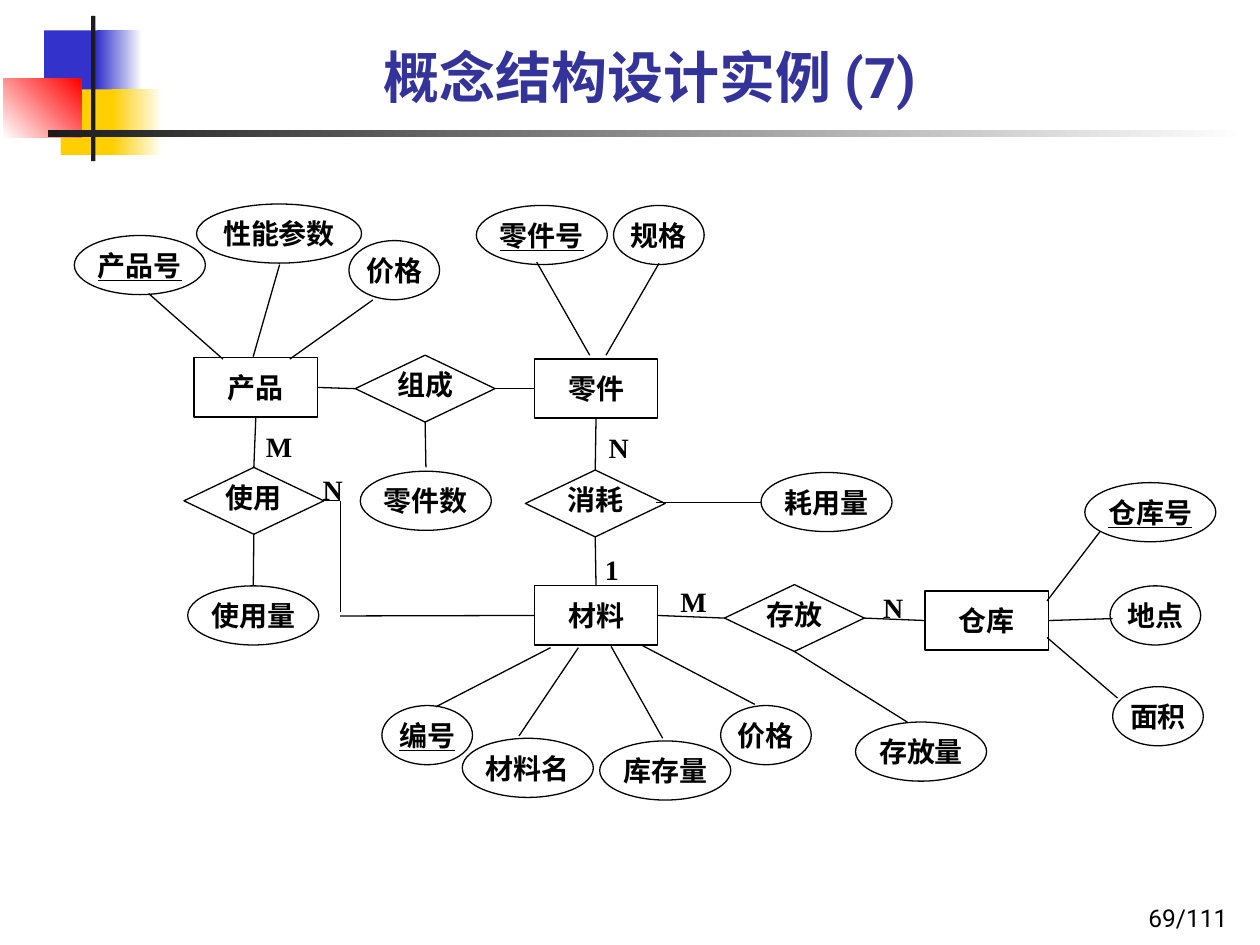
from lxml import etree
from pptx import Presentation
from pptx.dml.color import RGBColor
from pptx.enum.shapes import MSO_CONNECTOR, MSO_SHAPE
from pptx.enum.text import MSO_ANCHOR, PP_ALIGN
from pptx.oxml.ns import qn
from pptx.util import Pt

RECT, OVAL, DIAMOND = MSO_SHAPE.RECTANGLE, MSO_SHAPE.OVAL, MSO_SHAPE.DIAMOND
LINE = MSO_CONNECTOR.STRAIGHT
MIDDLE, BOTTOM = MSO_ANCHOR.MIDDLE, MSO_ANCHOR.BOTTOM
CENTER, RIGHT, JUSTIFY = PP_ALIGN.CENTER, PP_ALIGN.RIGHT, PP_ALIGN.JUSTIFY
TOP, LEFT, BASE, END = range(4)  # connection sites


def color(code):
    return RGBColor.from_string(code)


class Board:
    ink, paper = "000000", "FFFFFF"
    label = {"name": "Times New Roman", "size": Pt(16), "bold": True}
    head = {"name": "Roboto", "size": Pt(32), "bold": True}
    foot = {"name": "Roboto", "size": Pt(14), "bold": False}

    def __init__(self, slide):
        self.slide = slide
        self.nodes = {}

    def letter(self, shape, text, style, align, anchor, ink=ink, inset=(0, 0), **extra):
        frame = shape.text_frame
        frame.word_wrap = True
        frame.vertical_anchor = anchor
        frame.margin_left = frame.margin_right = Pt(inset[0])
        frame.margin_top = frame.margin_bottom = Pt(inset[1])
        para = frame.paragraphs[0]
        para.alignment = align
        run = para.add_run()
        run.text = text
        for key, value in {**style, **extra}.items():
            setattr(run.font, key, value)
        run.font.color.rgb = color(ink)
        return para

    def title(self, text, box, ink):
        shape = self.slide.shapes.title
        shape.left, shape.top, shape.width, shape.height = map(Pt, box)
        self.letter(shape, text, self.head, CENTER, BOTTOM, ink, (7.2, 3.6))

    def text(self, text, box, style=label, align=JUSTIFY, anchor=MIDDLE, inset=(0, 0)):
        shape = self.slide.shapes.add_textbox(*map(Pt, box))
        self.letter(shape, text, style, align, anchor, inset=inset)

    def block(self, box, *codes, angle=0):
        shape = self.slide.shapes.add_shape(RECT, *map(Pt, box))
        shape.shadow.inherit = False
        shape.line.fill.background()
        if len(codes) == 1:
            shape.fill.solid()
            shape.fill.fore_color.rgb = color(codes[0])
            return
        shape.fill.gradient()
        shape.fill.gradient_angle = angle
        for stop, code in zip(shape.fill.gradient_stops, codes):
            stop.color.rgb = color(code)

    def node(self, kind, text, box, key=False):
        shape = self.slide.shapes.add_shape(kind, *map(Pt, box))
        shape.shadow.inherit = False
        if kind == OVAL:
            shape.fill.background()
        else:
            shape.fill.solid()
            shape.fill.fore_color.rgb = color(self.paper)
        shape.line.color.rgb = color(self.ink)
        shape.line.width = Pt(0.75)
        para = self.letter(shape, text, self.label, CENTER, MIDDLE, underline=key)
        if kind == DIAMOND:
            para.line_spacing = 0.72
        self.nodes[text] = shape

    def link(self, start, end):
        """Each end is a point (x, y) or a node with its site (name, site)."""
        ends = [(0, 0) if isinstance(e[0], str) else e for e in (start, end)]
        wire = self.slide.shapes.add_connector(LINE, *(Pt(v) for e in ends for v in e))
        for spot, join in ((start, wire.begin_connect), (end, wire.end_connect)):
            if isinstance(spot[0], str):
                join(self.nodes[spot[0]], spot[1])
        wire.line.color.rgb = color(self.ink)
        wire.line.width = Pt(0.75)
        etree.SubElement(wire._element.spPr, qn("a:effectLst"))


def main():
    deck = Presentation()
    deck.slide_width, deck.slide_height = Pt(720), Pt(540)
    board = Board(deck.slides.add_slide(deck.slide_layouts[5]))

    # Corner blocks and rule
    blue, gold, red, dark, white = "3333CC", "FFCF01", "FF0000", "1C1C1C", "FFFFFF"
    board.block((25.2, 17.3, 34.6, 37.4), blue)
    board.block((55.4, 17.3, 25.9, 37.4), blue, white)
    board.block((34.6, 51.1, 33.1, 37.4), gold)
    board.block((64.1, 51.1, 28.8, 37.4), gold, white)
    board.block((2, 45, 44.3, 33.5), white, red, angle=45)
    board.block((52.1, 9.1, 2.4, 83), dark)
    board.block((27.4, 74.2, 684.7, 4.3), dark, white)

    # Title and page number
    board.title("概念结构设计实例 (7)", (64.8, 3.6, 613.4, 62.6), "333399")
    board.text("69/111", (558.7, 500.4, 149.8, 36), board.foot, RIGHT, BOTTOM, (7.2, 3.6))

    # Entities
    for text, x, y in (("产品", 110.9, 204.5), ("零件", 305.3, 205.2),
                       ("材料", 305.3, 334.8), ("仓库", 528.5, 337.7)):
        board.node(RECT, text, (x, y, 70.6, 33.8))

    # Relations
    for text, x, y in (("组成", 203, 203), ("使用", 105.1, 267.1),
                       ("消耗", 300.2, 268.6), ("存放", 414, 334.1)):
        board.node(DIAMOND, text, (x, y, 79.9, 38.2))

    # Attributes, as wide as their text needs; keys are underlined
    widths = {2: 51.8, 3: 74.9, 4: 94.3}
    keys = {"产品号", "零件号", "编号", "仓库号"}
    for text, x, y in (
        ("产品号", 42.5, 134.6), ("性能参数", 112.3, 116.6), ("价格", 199.4, 137.5),
        ("零件号", 272.2, 117.4), ("规格", 350.6, 117.4), ("零件数", 205.9, 269.3),
        ("使用量", 107.3, 334.8), ("耗用量", 434.9, 270), ("存放量", 488.9, 412.6),
        ("编号", 218.2, 403.2), ("材料名", 264.2, 421.9), ("库存量", 342.7, 423.4),
        ("价格", 411.8, 403.2), ("仓库号", 619.9, 275.8), ("地点", 634.3, 334.8),
        ("面积", 635.8, 392.4),
    ):
        board.node(OVAL, text, (x, y, widths[len(text)], 33.8), text in keys)

    # Links between entities and relations
    for start, end in (
        (("产品", END), ("组成", LEFT)), (("组成", END), ("零件", LEFT)),
        (("产品", BASE), ("使用", TOP)), (("零件", BASE), ("消耗", TOP)),
        (("消耗", BASE), ("材料", TOP)), (("材料", END), ("存放", LEFT)),
        (("存放", END), ("仓库", LEFT)), (("使用", END), (194.4, 286.2)),
        ((194.4, 286.2), (194.4, 350)), ((194.4, 352), ("材料", LEFT)),
    ):
        board.link(start, end)

    # Links to attributes
    for start, end in (
        ((85, 167.8), (127.4, 205.2)), ((159.8, 151.2), (144.7, 203.8)),
        ((213.1, 171.4), (165.6, 205.2)), ((306.7, 149.8), (337, 203)),
        ((376.6, 150.5), (346.3, 203)), (("组成", BASE), (243.4, 267.1)),
        (("使用", BASE), ("使用量", TOP)), ((375.1, 287.3), (434.9, 287.3)),
        (("存放", BASE), (518.4, 412.6)), ((314.6, 370.1), (249.1, 403.9)),
        ((330.5, 370.1), (296.6, 420.5)), ((349.2, 369.4), (378.7, 421.9)),
        ((366.5, 368.6), (431.3, 402.5)), ((598.3, 343.4), (628.6, 303.8)),
        (("仓库", END), (635.8, 353.5)), ((598.3, 364.3), (638.6, 398.9)),
    ):
        board.link(start, end)

    # Cardinal marks
    for text, x, y in (("M", 151.9, 238.3), ("N", 184.3, 262.8), ("N", 347.8, 239),
                       ("1", 345.6, 308.9), ("M", 388.8, 326.9), ("N", 504.7, 330.5)):
        board.text(text, (x, y, 15.1, 33.1))

    deck.save("out.pptx")


if __name__ == "__main__":
    main()
